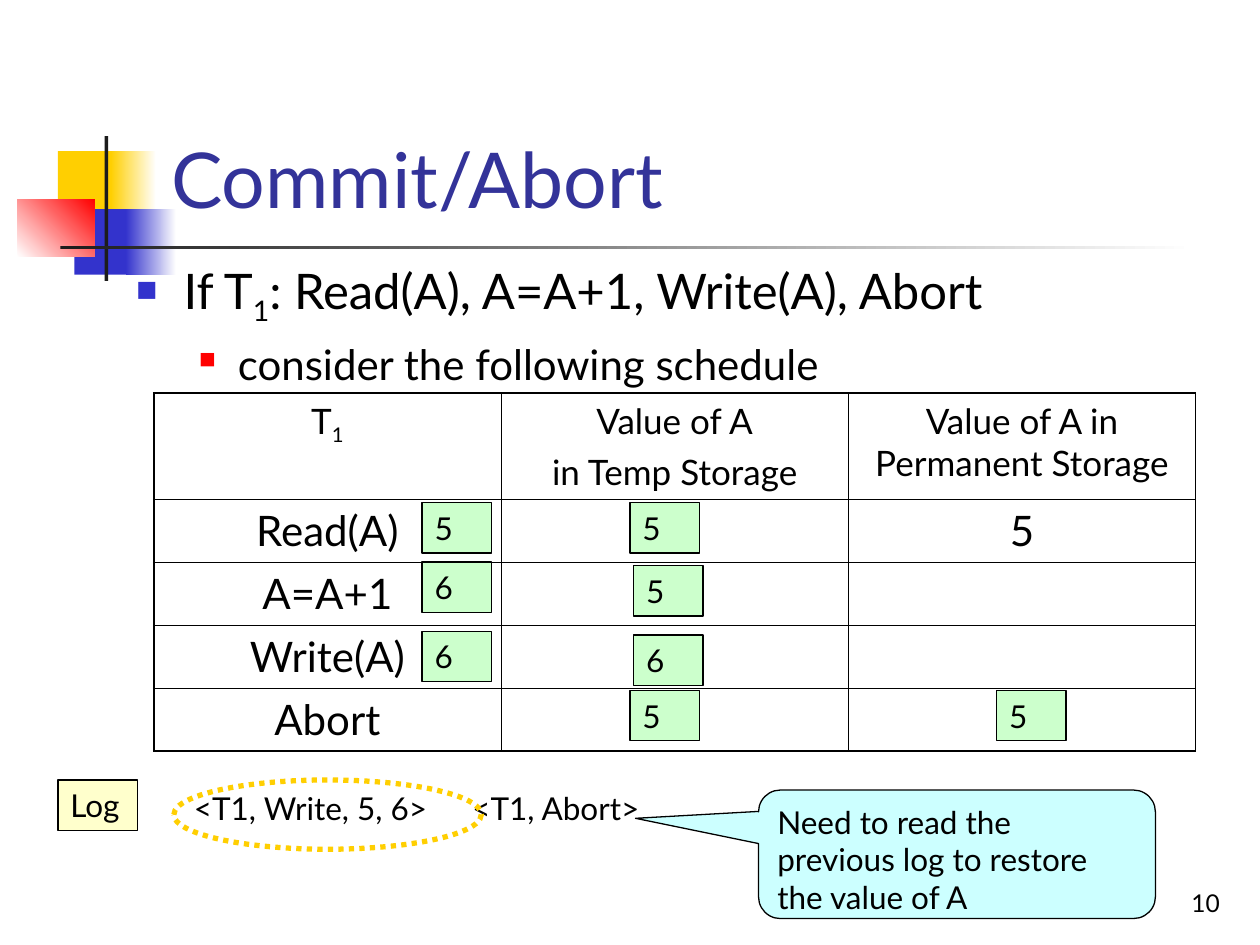
import pptx
import pptx.util
import pptx.dml.color
import pptx.enum.dml
import pptx.enum.shapes
import pptx.enum.text
import pptx.oxml
import pptx.oxml.ns

Inches = pptx.util.Inches
Pt = pptx.util.Pt
Shape = pptx.enum.shapes.MSO_SHAPE
Align = pptx.enum.text.PP_ALIGN
Anchor = pptx.enum.text.MSO_ANCHOR

FONT = "Lato"
COLORS = {
    "black": "000000", "white": "FFFFFF", "dark": "1C1C1C", "title": "333399",
    "gold": "FFCF01", "blue": "3333CC", "red": "FF0000",
    "green": "CCFFCC", "cream": "FFFFCC", "aqua": "CCFFFF",
}


def rgb(name):
    return pptx.dml.color.RGBColor.from_string(COLORS[name])


def place(box):
    return [Inches(n) for n in box]


def xml(tag, body="", attrs=""):
    space = pptx.oxml.ns.nsdecls("a")
    return pptx.oxml.parse_xml(f"<a:{tag} {space} {attrs}>{body}</a:{tag}>")


def write(para, text, size, color="black", align=Align.LEFT):
    """Fill a paragraph; the parts between bars are subscripts."""
    para.alignment = align
    for i, part in enumerate(text.split("|")):
        run = para.add_run()
        run.text = part
        run.font.name = FONT
        run.font.size = Pt(size)
        run.font.color.rgb = rgb(color)
        if i % 2:
            run.font._element.set("baseline", "-25000")


def add_block(slide, box, fill, end=None, angle=0):
    """Add a bare rectangle, shaded from fill to end when end is given."""
    block = slide.shapes.add_shape(Shape.RECTANGLE, *place(box))
    block.shadow.inherit = False
    block.line.fill.background()
    if end is None:
        block.fill.solid()
        block.fill.fore_color.rgb = rgb(fill)
        return
    block.fill.gradient()
    block.fill.gradient_angle = angle
    for stop, name in zip(block.fill.gradient_stops, (fill, end)):
        stop.color.rgb = rgb(name)


def add_box(slide, box, text, fill, kind=Shape.RECTANGLE, wrap=True):
    shape = slide.shapes.add_shape(kind, *place(box))
    shape.shadow.inherit = False
    shape.fill.solid()
    shape.fill.fore_color.rgb = rgb(fill)
    shape.line.color.rgb = rgb("black")
    shape.line.width = Pt(0.75)
    frame = shape.text_frame
    frame.word_wrap = wrap
    frame.vertical_anchor = Anchor.TOP
    write(frame.paragraphs[0], text, 18)
    return shape


def add_text(slide, box, text, size=18, align=Align.LEFT, anchor=Anchor.TOP):
    frame = slide.shapes.add_textbox(*place(box)).text_frame
    frame.vertical_anchor = anchor
    write(frame.paragraphs[0], text, size, align=align)


def add_title(slide, text):
    title = slide.shapes.title
    title.left, title.top, title.width, title.height = place(
        (1.26, 0.23, 8.52, 1.6))
    frame = title.text_frame
    frame.auto_size = pptx.enum.text.MSO_AUTO_SIZE.NONE
    frame.vertical_anchor = Anchor.BOTTOM
    write(frame.paragraphs[0], text, 44, "title")


def add_bullets(slide, box, items):
    frame = slide.shapes.add_textbox(*place(box)).text_frame
    frame.word_wrap = True
    for i, (text, size, color, scale, left, hang) in enumerate(items):
        para = frame.add_paragraph() if i else frame.paragraphs[0]
        para.level = i
        props = para._p.get_or_add_pPr()
        props.set("marL", str(Inches(left)))
        props.set("indent", str(-Inches(hang)))
        props.append(xml("buClr", f'<a:srgbClr val="{COLORS[color]}"/>'))
        props.append(xml("buSzPct", attrs=f'val="{scale * 1000}"'))
        props.append(xml("buChar", attrs='char="■"'))
        if i:
            para.space_before = Pt(6)
        write(para, text, size)


def set_border(cell, widths):
    """Draw the left, right, top and bottom edges in that order."""
    props = cell._tc.get_or_add_tcPr()
    body = f'<a:solidFill><a:srgbClr val="{COLORS["black"]}"/></a:solidFill>'
    for i, (side, width) in enumerate(zip("LRTB", widths)):
        props.insert(i, xml(f"ln{side}", body, f'w="{Pt(width)}"'))


def add_grid(slide, box, heights, rows):
    last, end = len(rows) - 1, len(rows[0]) - 1
    table = slide.shapes.add_table(last + 1, end + 1, *place(box)).table
    table.first_row = table.horz_banding = False
    for col in table.columns:
        col.width = Inches(box[2] / (end + 1))
    for r, row in enumerate(rows):
        table.rows[r].height = Inches(heights[r])
        for c, text in enumerate(row):
            cell = table.cell(r, c)
            cell.fill.background()
            outer = (c == 0, c == end, r == 0, r == last)
            set_border(cell, [1.08 if edge else 0.45 for edge in outer])
            frame = cell.text_frame
            for i, line in enumerate(text.split("\n") if text else []):
                para = frame.add_paragraph() if i else frame.paragraphs[0]
                if i:
                    para.space_before = Pt(5)
                write(para, line, 24 if r else 20, align=Align.CENTER)


def add_ring(slide, box):
    ring = slide.shapes.add_shape(Shape.OVAL, *place(box))
    ring.shadow.inherit = False
    ring.fill.background()
    ring.line.color.rgb = rgb("gold")
    ring.line.width = Pt(3)
    ring.line.dash_style = pptx.enum.dml.MSO_LINE.ROUND_DOT


def main():
    deck = pptx.Presentation()
    deck.slide_width, deck.slide_height = Inches(10), Inches(7.5)
    slide = deck.slides.add_slide(deck.slide_layouts[5])

    add_block(slide, (0.46, 1.2, 0.48, 0.52), "gold")
    add_block(slide, (0.88, 1.2, 0.36, 0.52), "gold", "white")
    add_block(slide, (0.59, 1.66, 0.46, 0.52), "blue")
    add_block(slide, (1, 1.66, 0.4, 0.52), "blue", "white")
    add_block(slide, (0.14, 1.58, 0.61, 0.46), "white", "red", 45)
    add_block(slide, (0.83, 1.08, 0.03, 1.15), "dark")
    add_block(slide, (0.48, 1.95, 9, 0.03), "dark", "white")

    add_text(slide, (7.7, 6.83, 2.08, 0.5), "10", 14, Align.RIGHT,
             Anchor.BOTTOM)
    add_title(slide, "Commit/Abort")
    add_bullets(slide, (0.98, 2.02, 7.96, 1.42), [
        ("If T|1|: Read(A), A=A+1, Write(A), Abort", 28, "blue", 60,
         0.38, 0.38),
        ("consider the following schedule", 24, "red", 55, 0.81, 0.31),
    ])
    add_grid(slide, (1.22, 3.12, 8.27, 2.84), [0.84] + [0.5] * 4, [
        ("T|1", "Value of A\nin Temp Storage",
         "Value of A in Permanent Storage"),
        ("Read(A)", "", "5"),
        ("A=A+1", "", ""),
        ("Write(A)", "", ""),
        ("Abort", "", ""),
    ])
    for left, top, value in [
        (3.35, 3.99, "5"), (3.35, 4.46, "6"), (3.35, 5.01, "6"),
        (5, 3.99, "5"), (5.03, 4.49, "5"), (5.03, 5.04, "6"),
        (5, 5.48, "5"), (7.91, 5.48, "5"),
    ]:
        add_box(slide, (left, top, 0.55, 0.4), value, "green")

    add_box(slide, (0.46, 6.19, 0.63, 0.4), "Log", "cream", wrap=False)
    add_text(slide, (1.44, 6.21, 2.08, 0.4), "<T1, Write, 5, 6>")
    add_text(slide, (3.65, 6.21, 1.56, 0.4), "<T1, Abort>")
    note = add_box(slide, (6.02, 6.27, 3.15, 1.02),
                   "Need to read the previous log to restore the value of A",
                   "aqua", Shape.ROUNDED_RECTANGULAR_CALLOUT)
    for i, value in enumerate((-0.81, -0.28, 0.17)):
        note.adjustments[i] = value
    add_ring(slide, (1.38, 6.19, 2.44, 0.55))

    deck.save("out.pptx")


if __name__ == "__main__":
    main()
